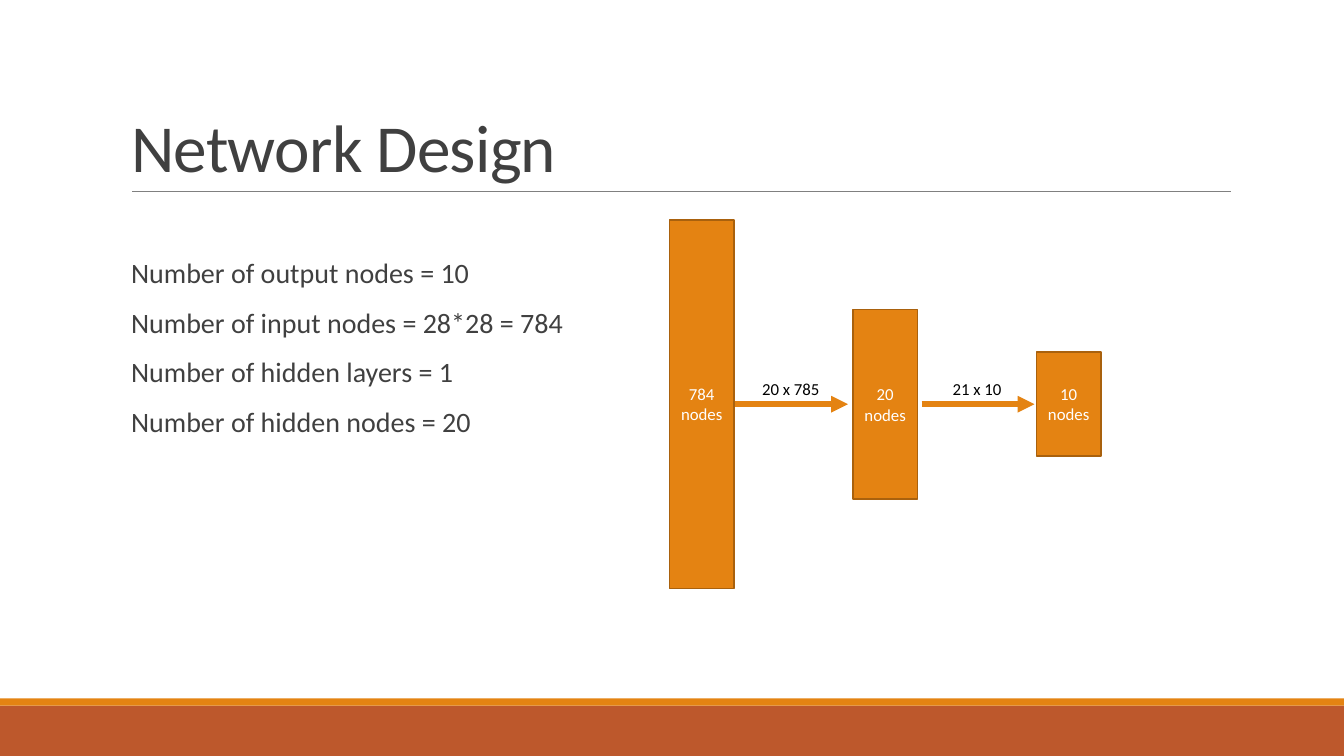
from lxml import etree
from pptx import Presentation
from pptx import util as u
from pptx.dml.color import RGBColor
from pptx.enum import shapes, text
from pptx.oxml import ns

ORANGE = RGBColor(0xE4, 0x83, 0x12)
BROWN = RGBColor(0xA9, 0x61, 0x0D)
RUST = RGBColor(0xBD, 0x58, 0x2C)
GREY = RGBColor(0x80, 0x80, 0x80)
DARK = RGBColor(0x40, 0x40, 0x40)
WHITE = RGBColor(0xFF, 0xFF, 0xFF)
BLACK = RGBColor(0, 0, 0)

deck = Presentation()
deck.slide_width, deck.slide_height = u.Inches(13.33), u.Inches(7.5)
slide = deck.slides.add_slide(deck.slide_layouts[1])

ROWS = 75  # square grid cells over the slide's height
CELL = deck.slide_height / ROWS
COLUMNS = deck.slide_width / CELL


def grid(*cells):
    return [u.Emu(round(n * CELL)) for n in cells]


def write(paragraph, words, size, color):
    run = paragraph.add_run()
    run.text = words
    run.font.name, run.font.size = "Calibri", u.Pt(size)
    run.font.color.rgb = color
    return run


# Footer bands
for top, height, color in [(70, 5, RUST), (69.3, 0.7, ORANGE)]:
    band = slide.shapes.add_shape(shapes.MSO_SHAPE.RECTANGLE, *grid(0, top, COLUMNS, height))
    band.shadow.inherit = False
    band.fill.solid()
    band.fill.fore_color.rgb = color
    band.line.fill.background()

# Title
title = slide.shapes.title
title.left, title.top, title.width, title.height = grid(12, 3.1, 110, 15.9)
title.text_frame.auto_size = text.MSO_AUTO_SIZE.NONE
title.text_frame.vertical_anchor = text.MSO_ANCHOR.BOTTOM
heading = title.text_frame.paragraphs[0]
heading.alignment = text.PP_ALIGN.LEFT
heading.line_spacing = 0.85
write(heading, "Network Design", 48, DARK).font._element.set("spc", "-50")

# Network facts
facts = slide.placeholders[1]
facts.left, facts.top, facts.width, facts.height = grid(12, 20.2, 54, 44)
frame = facts.text_frame
frame.auto_size = text.MSO_AUTO_SIZE.NONE
frame.margin_left, frame.margin_top, frame.margin_right = grid(0, 5.5, 0)
for i, fact in enumerate(["Number of output nodes = 10", "Number of input nodes = 28*28 = 784",
                          "Number of hidden layers = 1", "Number of hidden nodes = 20"]):
    line = frame.add_paragraph() if i else frame.paragraphs[0]
    line.line_spacing = 0.9
    line.space_before, line.space_after = u.Pt(12), u.Pt(2)
    props = line._p.get_or_add_pPr()
    props.set("marL", str(grid(1)[0]))
    props.set("indent", "0")
    etree.SubElement(props, ns.qn("a:buNone"))
    write(line, fact, 20, DARK)

# Layers, centred on one axis
AXIS = 40.1
LAYER_LEFT, LAYER_STEP, LAYER_WIDTH = 66.4, 18.2, 6.4
for i, (nodes, height) in enumerate([("784 nodes", 36.6), ("20 nodes", 18.8), ("10 nodes", 10.3)]):
    layer = slide.shapes.add_shape(
        shapes.MSO_SHAPE.RECTANGLE,
        *grid(LAYER_LEFT + i * LAYER_STEP, AXIS - height / 2, LAYER_WIDTH, height))
    layer.shadow.inherit = False
    layer.fill.solid()
    layer.fill.fore_color.rgb = ORANGE
    layer.line.color.rgb, layer.line.width = BROWN, u.Pt(1.25)
    layer.text_frame.vertical_anchor = text.MSO_ANCHOR.MIDDLE
    layer.text_frame.paragraphs[0].alignment = text.PP_ALIGN.CENTER
    write(layer.text_frame.paragraphs[0], nodes, 12, WHITE)

# Title rule and the arrows between layers
ARROW_LEFT, ARROW_STEP, ARROW_LENGTH = 72.9, 18.5, 11.2
rules = [(13.1, 122.1, 19, GREY, 0.5, None)]
for i, weights in enumerate(["20 x 785", "21 x 10"]):
    start = ARROW_LEFT + i * ARROW_STEP
    rules.append((start, start + ARROW_LENGTH, AXIS, ORANGE, 4, weights))

for start, end, level, color, width, weights in rules:
    rule = slide.shapes.add_connector(shapes.MSO_CONNECTOR.STRAIGHT, *grid(start, level, end, level))
    rule.line.color.rgb, rule.line.width = color, u.Pt(width)
    etree.SubElement(rule._element.spPr, ns.qn("a:effectLst"))
    if weights:
        etree.SubElement(rule.line._get_or_add_ln(), ns.qn("a:tailEnd"), type="triangle")
        label_width = 7.8 if len(weights) > 7 else 7
        label = slide.shapes.add_textbox(
            *grid((start + end - label_width) / 2, AXIS - 3, label_width, 3))
        label.text_frame.word_wrap = False
        label.text_frame.auto_size = text.MSO_AUTO_SIZE.SHAPE_TO_FIT_TEXT
        write(label.text_frame.paragraphs[0], weights, 12, BLACK)

deck.save("out.pptx")
